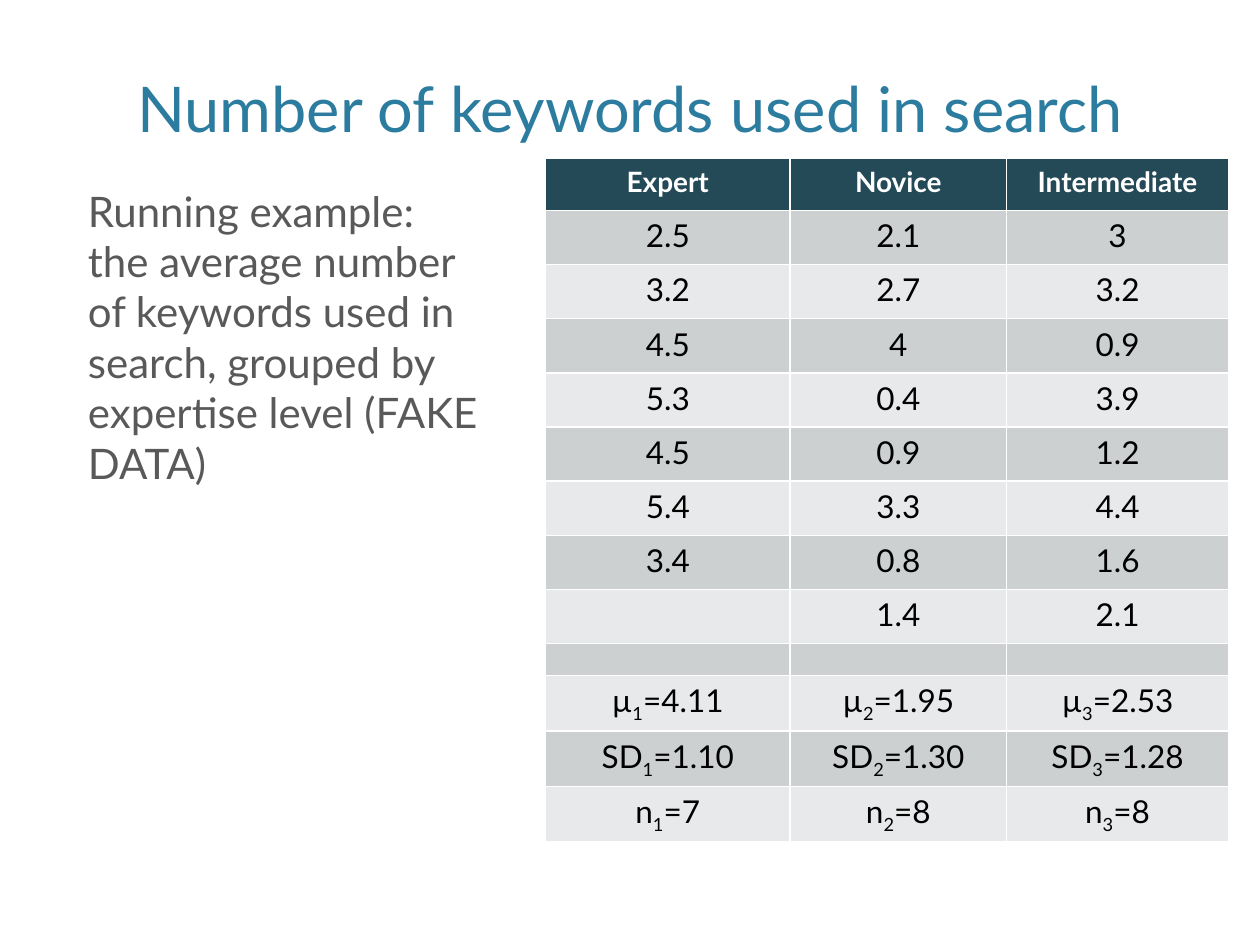
"""Build a slide with a table of search keyword counts by expertise level."""
import pptx
import pptx.dml.color
import pptx.enum.text
import pptx.oxml.ns
import pptx.util
from pptx.util import Inches

CENTER = pptx.enum.text.PP_ALIGN.CENTER
MIDDLE = pptx.enum.text.MSO_ANCHOR.MIDDLE


def color(value):
    return pptx.dml.color.RGBColor.from_string(value)


def style(span, size, ink, bold=False):
    span.font.name = "Lato"
    span.font.size = pptx.util.Pt(size)
    span.font.bold = bold
    span.font.color.rgb = color(ink)


deck = pptx.Presentation()
deck.slide_width, deck.slide_height = Inches(10), Inches(7.5)
page = deck.slides.add_slide(deck.slide_layouts[6])

title = page.shapes.add_textbox(Inches(0.6), Inches(0.12), Inches(8.8), Inches(1.46))
title.text_frame.word_wrap = True
title.text_frame.vertical_anchor = MIDDLE
title.text_frame.text = "Number of keywords used in search"
para = title.text_frame.paragraphs[0]
para.alignment = CENTER
style(para.runs[0], 36, "2C7C9F")

body = page.shapes.add_textbox(Inches(0.6), Inches(1.42), Inches(3.33), Inches(5))
body.text_frame.word_wrap = True
body.text_frame.text = (
    "Running example: the average number of keywords used in search, "
    "grouped by expertise level (FAKE DATA)"
)
para = body.text_frame.paragraphs[0]
para.space_before = pptx.util.Pt(20)
style(para.runs[0], 24, "595959")

rows = [
    ("Expert", "Novice", "Intermediate"),
    ("2.5", "2.1", "3"),
    ("3.2", "2.7", "3.2"),
    ("4.5", "4", "0.9"),
    ("5.3", "0.4", "3.9"),
    ("4.5", "0.9", "1.2"),
    ("5.4", "3.3", "4.4"),
    ("3.4", "0.8", "1.6"),
    ("", "1.4", "2.1"),
    ("", "", ""),
]
summary = [
    ("µ", ("4.11", "1.95", "2.53")),
    ("SD", ("1.10", "1.30", "1.28")),
    ("n", ("7", "8", "8")),
]
row_count = len(rows) + len(summary)
table = page.shapes.add_table(
    row_count, 3, Inches(4.33), Inches(1.26), Inches(5.42), Inches(5.37)
).table
for column, width in zip(table.columns, (1.94, 1.72, 1.76)):
    column.width = Inches(width)
for index, row in enumerate(table.rows):
    row.height = Inches({0: 0.41, 9: 0.18}.get(index, 0.43))
    for cell in row.cells:
        cell.fill.solid()
        fill = "244A58" if index == 0 else ("E8E9EA", "CDD0D1")[index % 2]
        cell.fill.fore_color.rgb = color(fill)
        cell.text_frame.paragraphs[0].alignment = CENTER

for row_index, values in enumerate(rows):
    for column_index, value in enumerate(values):
        para = table.cell(row_index, column_index).text_frame.paragraphs[0]
        if value:
            para.text = value
            header = row_index == 0
            style(para.runs[0], 16 if header else 18, "FFFFFF" if header else "000000", header)
        else:
            end = para._p.makeelement(pptx.oxml.ns.qn("a:endParaRPr"), {"sz": "900"})
            para._p.append(end)

for row_index, (symbol, values) in enumerate(summary, len(rows)):
    for column_index, value in enumerate(values):
        para = table.cell(row_index, column_index).text_frame.paragraphs[0]
        for part in (symbol, str(column_index + 1), f"={value}"):
            span = para.add_run()
            span.text = part
            style(span, 18, "000000")
        para.runs[1].font._element.set("baseline", "-25000")

deck.save("out.pptx")
